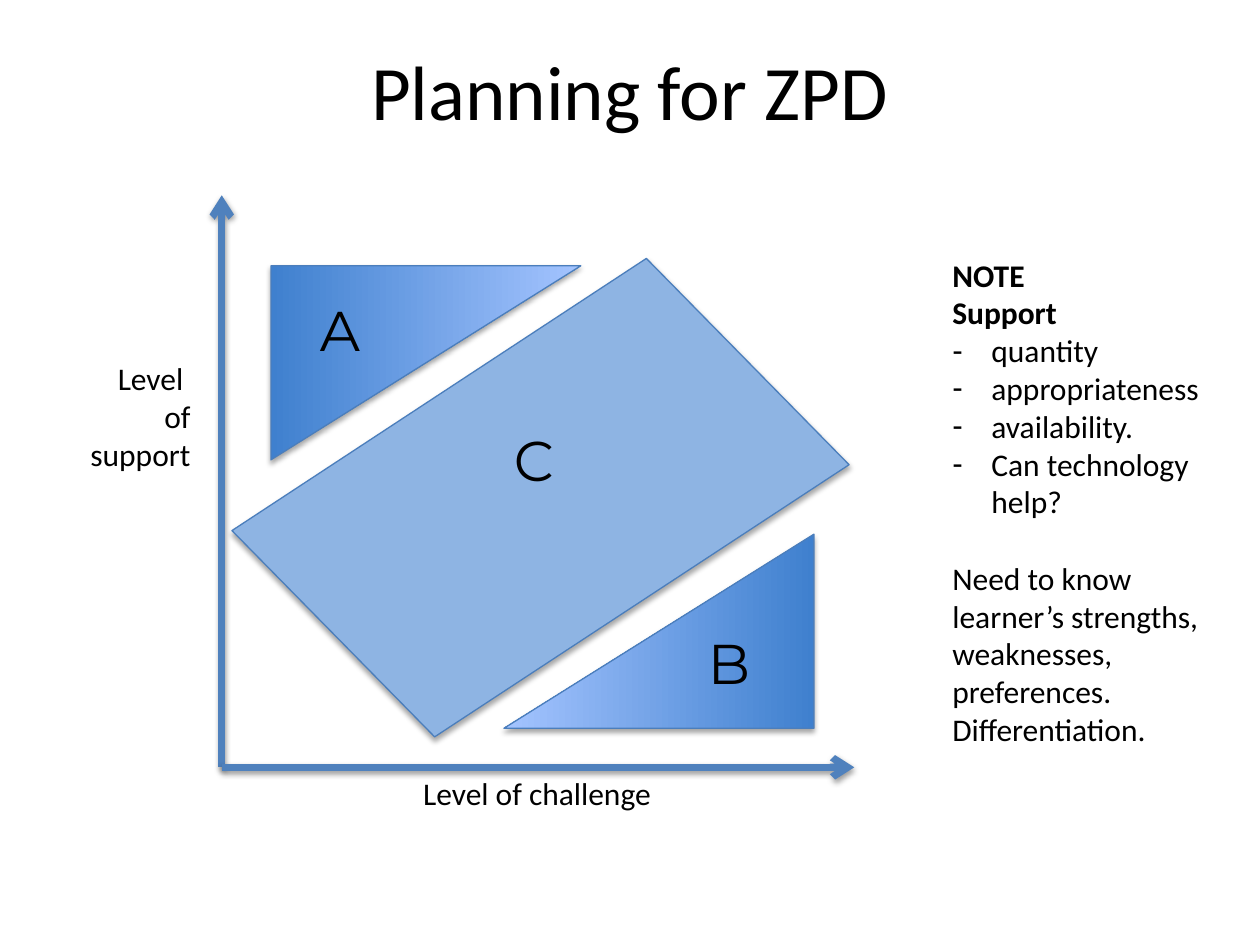
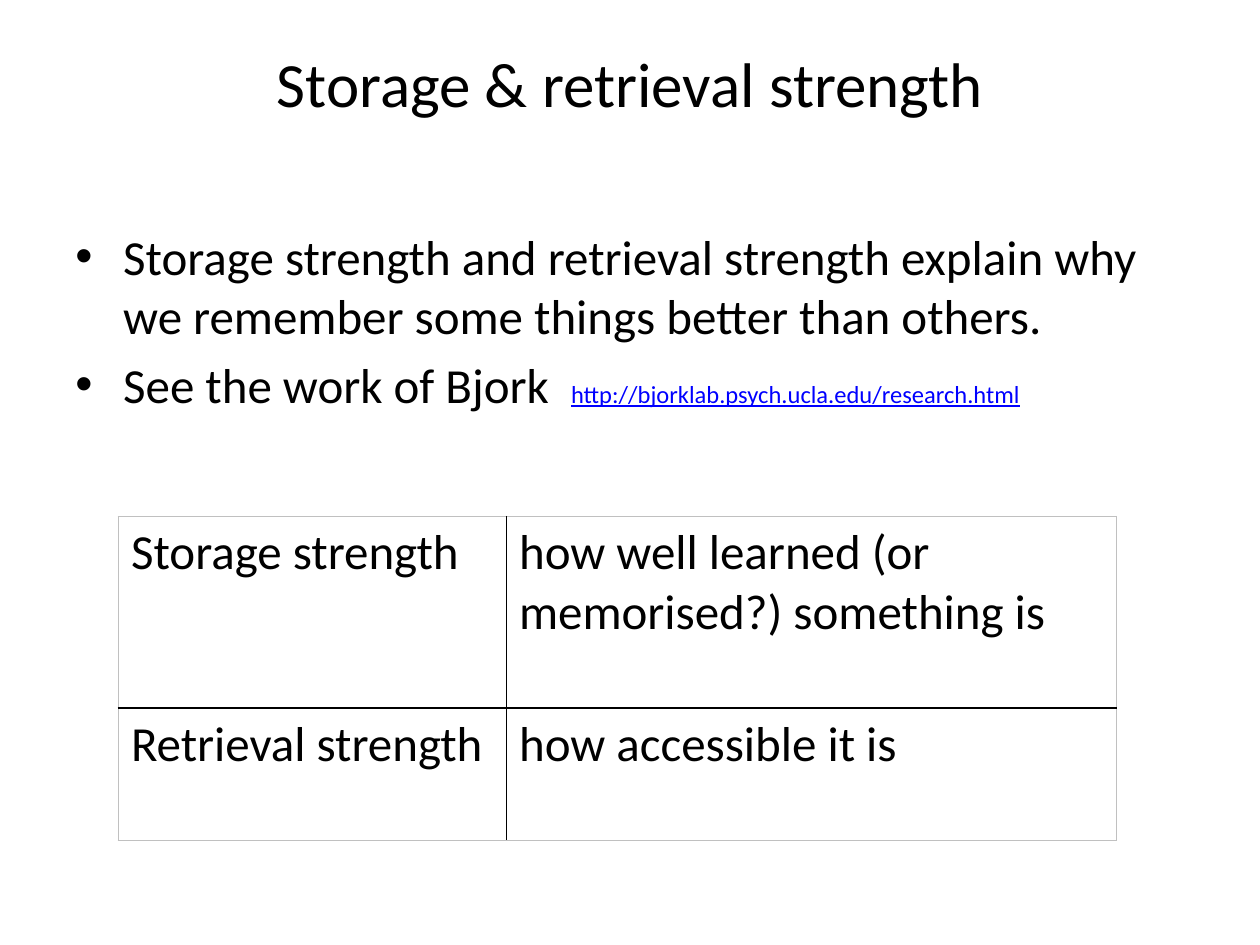
from lxml import etree
from pptx import Presentation
from pptx.dml.color import RGBColor
from pptx.enum.shapes import MSO_CONNECTOR, MSO_SHAPE
from pptx.enum.text import PP_ALIGN
from pptx.oxml.ns import qn
from pptx.util import Inches, Pt

STRAIGHT = MSO_CONNECTOR.STRAIGHT
TRIANGLE, PARALLELOGRAM = MSO_SHAPE.RIGHT_TRIANGLE, MSO_SHAPE.PARALLELOGRAM
LEFT, CENTER, RIGHT = PP_ALIGN.LEFT, PP_ALIGN.CENTER, PP_ALIGN.RIGHT

BODY_FONT, LETTER_FONT = "Calibri", "Montserrat"
BLACK, LINK_BLUE, GREY = "000000", "0000FF", "C0C0C0"
AXIS_BLUE, OUTLINE_BLUE, BAND_BLUE = "4F81BD", "4B7EBC", "8EB4E3"
GRADIENT = ("3F80CE", "A4C4FF")


def color(hex_string):
    """Turn a hex string into a colour."""
    return RGBColor.from_string(hex_string)


def add_xml(parent, tag, **attributes):
    """Append a DrawingML element and return it."""
    return etree.SubElement(parent, qn(tag), {name: str(value) for name, value in attributes.items()})


def add_shadow(shape, opacity, distance):
    """Give a shape a soft shadow that falls straight down."""
    effects = add_xml(shape._element.spPr, "a:effectLst")
    shadow = add_xml(effects, "a:outerShdw", blurRad=Pt(3.1), dist=Pt(distance),
                     dir=90 * 60000, rotWithShape=0)
    shade = add_xml(shadow, "a:srgbClr", val=BLACK)
    add_xml(shade, "a:alpha", val=opacity * 1000)


def style_paragraph(paragraph, size, font=BODY_FONT, bold=False, align=LEFT):
    """Set the font and alignment of a paragraph."""
    paragraph.font.name = font
    paragraph.font.size = Pt(size)
    paragraph.font.bold = bold
    paragraph.font.color.rgb = color(BLACK)
    paragraph.alignment = align


def add_bullet(paragraph, character, indent):
    """Give a paragraph a hanging bullet."""
    properties = paragraph._p.get_or_add_pPr()
    properties.set("marL", str(Inches(indent)))
    properties.set("indent", str(-Inches(indent)))
    add_xml(properties, "a:buFont", typeface="Arial")
    add_xml(properties, "a:buChar", char=character)


def add_text(shapes, box, lines, size, font=BODY_FONT, align=LEFT):
    """Add a wrapping text box and return its paragraphs."""
    frame = shapes.add_textbox(*map(Inches, box)).text_frame
    frame.word_wrap = True
    frame.text = "\n".join(lines)
    for paragraph in frame.paragraphs:
        style_paragraph(paragraph, size, font, align=align)
    return frame.paragraphs


def add_title(slide, title, size):
    """Add the centred slide title."""
    add_text(slide.shapes, (0.5, 0.3, 9, 1.25), [title], size, align=CENTER)


def add_axis(slide, start, end):
    """Draw one arrowed axis."""
    axis = slide.shapes.add_connector(STRAIGHT, *map(Inches, start + end))
    axis.line.color.rgb = color(AXIS_BLUE)
    axis.line.width = Pt(4)
    add_xml(axis.line._get_or_add_ln(), "a:tailEnd", type="arrow")
    add_shadow(axis, 38, 1.6)


def add_zone(slide, kind, box, rotation, letter, letter_box):
    """Draw a zone of the chart together with its letter."""
    group = slide.shapes.add_group_shape()
    zone = group.shapes.add_shape(kind, *map(Inches, box))
    zone.rotation = rotation
    if kind == TRIANGLE:
        zone.fill.gradient()
        zone.fill.gradient_angle = 90
        for stop, shade in zip(zone.fill.gradient_stops, GRADIENT):
            stop.color.rgb = color(shade)
    else:
        zone.fill.solid()
        zone.fill.fore_color.rgb = color(BAND_BLUE)
    zone.line.color.rgb = color(OUTLINE_BLUE)
    zone.line.width = Pt(0.75)
    add_shadow(zone, 35, 1.8)
    add_text(group.shapes, letter_box, [letter], 32, LETTER_FONT)


def add_zone_chart(slide, left, top):
    """Draw the axes, their labels and the three zones."""
    def place(x, y, *size):
        return (left + x, top + y, *size)

    origin = place(1.26, 4.54)
    for end in (place(1.26, 0), place(6.28, 4.54)):
        add_axis(slide, origin, end)
    add_text(slide.shapes, place(0, 1.25, 1.11, 1.01), ["Level ", "of support"], 18, align=RIGHT)
    add_text(slide.shapes, place(2.76, 4.54, 4.04, 0.4), ["Level of challenge"], 18)
    zones = [
        (TRIANGLE, place(2.11, 0.1, 1.54, 2.46), 90, "A", place(1.94, 0.75, 0.81, 0.64)),
        (TRIANGLE, place(3.96, 2.23, 1.54, 2.46), 270, "B", place(5.02, 3.39, 0.69, 0.64)),
        (PARALLELOGRAM, place(2.26, 0.47, 3.06, 3.86), 45.5, "C", place(3.48, 1.78, 0.81, 0.64)),
    ]
    for zone in zones:
        add_zone(slide, *zone)


def add_support_note(slide, box):
    """Write the note about support beside the chart."""
    headings = ["NOTE", "Support"]
    points = ["quantity", "appropriateness", "availability.", "Can technology help?"]
    closing = ["Need to know learner’s strengths, weaknesses, preferences.", "Differentiation."]
    paragraphs = add_text(slide.shapes, box, headings + points + closing, 18)
    for paragraph in paragraphs[:2]:
        paragraph.font.bold = True
    for paragraph in paragraphs[2:6]:
        add_bullet(paragraph, "-", 0.31)
    paragraphs[6].space_before = Pt(22)


def add_explanation(slide, box):
    """Write the bulleted explanation with its web address."""
    lines = ["Storage strength and retrieval strength explain why we remember some things better than others.",
             "See the work of Bjork  "]
    paragraphs = add_text(slide.shapes, box, lines, 28)
    for paragraph in paragraphs:
        paragraph.space_before = Pt(5.6)
        add_bullet(paragraph, "•", 0.38)
    address = paragraphs[-1].add_run()
    address.text = "http://bjorklab.psych.ucla.edu/research.html"
    address.font.size = Pt(14)
    address.font.underline = True
    address.font.color.rgb = color(LINK_BLUE)


def add_border(cell, side, shade):
    """Draw one side of a table cell."""
    border = add_xml(cell._tc.get_or_add_tcPr(), f"a:{side}", w=Pt(1))
    add_xml(add_xml(border, "a:solidFill"), "a:srgbClr", val=shade)


def add_strength_table(slide, box):
    """Add the table that defines the two strengths."""
    rows = [("Storage strength", "how well learned (or memorised?) something is"),
            ("Retrieval strength", "how accessible it is")]
    table = slide.shapes.add_table(2, 2, *map(Inches, box)).table
    table.first_row = table.horz_banding = False
    for column, width in zip(table.columns, (3.08, 4.84)):
        column.width = Inches(width)
    for row, height in zip(table.rows, (1.52, 1.05)):
        row.height = Inches(height)
    for row_index, texts in enumerate(rows):
        for column_index, text in enumerate(texts):
            cell = table.cell(row_index, column_index)
            cell.text = text
            style_paragraph(cell.text_frame.paragraphs[0], 28)
            inner_sides = ("lnL" if column_index else "lnR", "lnT" if row_index else "lnB")
            for side in ("lnL", "lnR", "lnT", "lnB"):
                add_border(cell, side, BLACK if side in inner_sides else GREY)
            cell.fill.background()


def build_planning_slide(slide):
    """Build the slide on planning for ZPD."""
    add_title(slide, "Planning for ZPD", 44)
    add_zone_chart(slide, 0.5, 1.55)
    add_support_note(slide, (7.46, 1.98, 2.19, 4.04))


def build_strength_slide(slide):
    """Build the slide on storage and retrieval strength."""
    add_title(slide, "Storage & retrieval strength", 36)
    add_explanation(slide, (0.5, 1.75, 9, 1.7))
    add_strength_table(slide, (0.94, 4.1, 7.92, 2.57))


def main():
    """Build and save the presentation."""
    presentation = Presentation()
    presentation.slide_width = Inches(10)
    presentation.slide_height = Inches(7.5)
    for build in (build_planning_slide, build_strength_slide):
        build(presentation.slides.add_slide(presentation.slide_layouts[6]))
    presentation.save("out.pptx")


if __name__ == "__main__":
    main()
